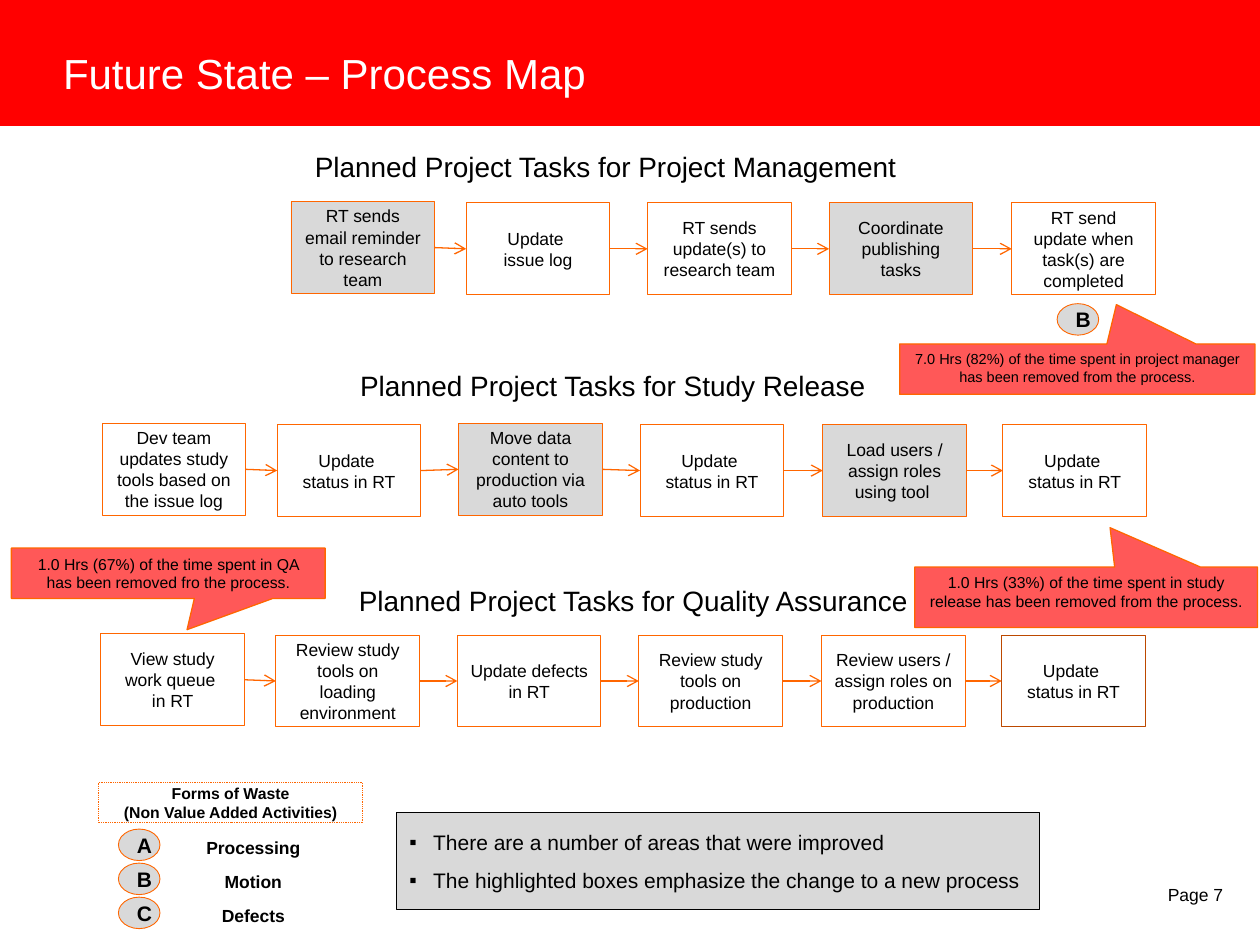
import dataclasses

import lxml.etree
import pptx
import pptx.dml.color
import pptx.enum.dml
import pptx.enum.shapes
import pptx.enum.text
import pptx.oxml.ns
import pptx.util

Inches = pptx.util.Inches
Pt = pptx.util.Pt
qn = pptx.oxml.ns.qn
Shape = pptx.enum.shapes.MSO_SHAPE
Align = pptx.enum.text.PP_ALIGN
Anchor = pptx.enum.text.MSO_ANCHOR


@dataclasses.dataclass(frozen=True)
class Theme:
    """Colours, font and type sizes of the slide."""
    font: str = "Arial"
    ink: str = "000000"
    white: str = "FFFFFF"
    banner: str = "FF0000"
    accent: str = "FF6600"
    dark: str = "BC4900"
    gray: str = "D9D9D9"
    alert: str = "FF5858"
    title: float = 24
    head: float = 16
    large: float = 12
    body: float = 10
    small: float = 9
    tiny: float = 8.3
    thin: float = 0.5
    line: float = 0.75


class Deck:
    """Draws the elements of one slide in a given theme."""

    def __init__(self, theme, slide):
        """Keep the theme and the slide."""
        self.theme = theme
        self.slide = slide

    def color(self, code):
        """Turn a hex code into a colour."""
        return pptx.dml.color.RGBColor.from_string(code)

    def letter(self, shape, text, size, color=None, bold=False,
               align=Align.CENTER, anchor=Anchor.MIDDLE, wrap=True):
        """Fill a shape with formatted text."""
        frame = shape.text_frame
        frame.text = text
        frame.word_wrap = wrap
        frame.vertical_anchor = anchor
        for para in frame.paragraphs:
            para.alignment = align
            for run in para.runs:
                run.font.name = self.theme.font
                run.font.size = Pt(size)
                run.font.bold = bold
                run.font.color.rgb = self.color(color or self.theme.ink)

    def title(self, text, *area):
        """Place the title at the given area."""
        shape = self.slide.shapes.title
        shape.left, shape.top, shape.width, shape.height = map(Inches, area)
        self.letter(shape, text, self.theme.title, self.theme.white,
                    align=Align.LEFT, anchor=Anchor.BOTTOM)
        frame = shape.text_frame
        frame.margin_left = frame.margin_right = 0
        frame.margin_top = frame.margin_bottom = 0

    def banner(self, *area):
        """Draw the colour band behind the title."""
        shape = self.shape(Shape.RECTANGLE, area, self.theme.banner, None)
        self.slide.shapes.title.element.addprevious(shape.element)

    def label(self, text, area, size, **style):
        """Add a plain text box."""
        shape = self.slide.shapes.add_textbox(*map(Inches, area))
        self.letter(shape, text, size, **style)

    def shape(self, kind, area, fill, line, width=0.5):
        """Add a preset shape with fill and outline."""
        shape = self.slide.shapes.add_shape(kind, *map(Inches, area))
        shape.shadow.inherit = False
        if fill:
            shape.fill.solid()
            shape.fill.fore_color.rgb = self.color(fill)
        else:
            shape.fill.background()
        if line:
            shape.line.color.rgb = self.color(line)
            shape.line.width = Pt(width)
        else:
            shape.line.fill.background()
        return shape

    def step(self, text, left, top, fill, line):
        """Add one process box."""
        box = self.shape(Shape.RECTANGLE, (left, top, 1.14, 0.73), fill, line,
                         self.theme.thin)
        self.letter(box, text, self.theme.body)
        return box

    def arrow(self, start, end):
        """Join two boxes from right side to left side."""
        link = self.slide.shapes.add_connector(
            pptx.enum.shapes.MSO_CONNECTOR.STRAIGHT, 0, 0, 0, 0)
        link.begin_connect(start, 3)
        link.end_connect(end, 1)
        link.line.color.rgb = self.color(self.theme.accent)
        link.line.width = Pt(self.theme.line)
        props = link.element.spPr
        lxml.etree.SubElement(props.find(qn("a:ln")), qn("a:tailEnd"), type="arrow")
        lxml.etree.SubElement(props, qn("a:effectLst"))

    def flow(self, left, top, steps, gaps, high, marked, last):
        """Add a row of boxes joined by arrows."""
        boxes = []
        for i, text in enumerate(steps):
            fill = self.theme.gray if i in marked else None
            line = last if i == len(steps) - 1 else self.theme.accent
            drop = 0 if i in high else 0.01
            boxes.append(self.step(text, left + gaps[i], top + drop, fill, line))
        for start, end in zip(boxes, boxes[1:]):
            self.arrow(start, end)

    def badge(self, text, left, top):
        """Add a round letter mark."""
        dot = self.shape(Shape.OVAL, (left, top, 0.33, 0.25),
                         self.theme.gray, self.theme.accent, self.theme.thin)
        self.letter(dot, text, self.theme.large, bold=True)

    def legend(self, text, *area):
        """Add the dotted heading of the legend."""
        box = self.shape(Shape.RECTANGLE, area, None, self.theme.accent,
                         self.theme.thin)
        box.line.dash_style = pptx.enum.dml.MSO_LINE.ROUND_DOT
        self.letter(box, text, self.theme.small, bold=True)

    def callout(self, text, area, tip, size):
        """Add a callout whose tip is set by two ratios."""
        box = self.shape(Shape.RECTANGULAR_CALLOUT, area, self.theme.alert,
                         self.theme.accent, self.theme.line)
        box.adjustments[0], box.adjustments[1] = tip
        self.letter(box, text, size, anchor=Anchor.TOP)

    def notes(self, lines, *area):
        """Add the box of bulleted remarks."""
        box = self.shape(Shape.RECTANGLE, area, self.theme.gray,
                         self.theme.ink, self.theme.line)
        self.letter(box, "\n".join(lines), self.theme.large, align=Align.LEFT)
        for para in box.text_frame.paragraphs:
            props = para._p.get_or_add_pPr()
            props.set("marL", str(Inches(0.19)))
            props.set("indent", str(-Inches(0.19)))
            tint = lxml.etree.SubElement(props, qn("a:buClr"))
            lxml.etree.SubElement(tint, qn("a:srgbClr"), val=self.theme.ink)
            lxml.etree.SubElement(props, qn("a:buFont"), typeface=self.theme.font)
            lxml.etree.SubElement(props, qn("a:buChar"), char="▪")
            para.space_after = Pt(7.5)


def main():
    """Build the process map and save it."""
    theme = Theme()
    show = pptx.Presentation()
    show.slide_width, show.slide_height = Inches(10), Inches(7.5)
    deck = Deck(theme, show.slides.add_slide(show.slide_layouts[5]))
    deck.banner(0, 0, 10, 1)
    deck.title("Future State – Process Map", 0.5, 0.38, 8.3, 0.4)
    deck.label("Page 7", (9.17, 6.97, 0.83, 0.27), theme.body,
               align=Align.LEFT, anchor=Anchor.TOP)

    gaps = (0, 1.39, 2.83, 4.27, 5.72, 7.15)
    status = "Update \vstatus in RT"
    flows = (
        ("Project Management", (2.4, 1.14, 4.84), 2.31, 1.6,
         ("RT sends email reminder to research team", "Update \nissue log",
          "RT sends update(s) to research team", "Coordinate publishing tasks",
          "RT send update when task(s) are completed"), {0}, {0, 3}, theme.accent),
        ("Study Release", (2.76, 2.88, 4.24), 0.81, 3.36,
         ("Dev team updates study tools based on the issue log",
          "Update \nstatus in RT",
          "Move data content to production via auto tools", status,
          "Load users / assign roles using tool ", status),
         {0, 2}, {2, 4}, theme.accent),
        ("Quality Assurance", (2.75, 4.58, 4.6), 0.8, 5.03,
         ("View study work queue \vin RT",
          "Review study tools on loading environment", "Update defects in RT",
          "Review study tools on production",
          "Review users / assign roles on production", status),
         {0}, set(), theme.dark),
    )
    for name, area, left, top, steps, high, marked, last in flows:
        deck.label(f"Planned Project Tasks for {name}", (*area, 0.37), theme.head,
                   align=Align.LEFT, anchor=Anchor.TOP, wrap=False)
        deck.flow(left, top, steps, gaps, high, marked, last)

    deck.legend("Forms of Waste\n(Non Value Added Activities)", 0.78, 6.21, 2.1, 0.32)
    for i, (mark, name) in enumerate((("A", "Processing"), ("B", "Motion"), ("C", "Defects"))):
        top = 6.58 + 0.27 * i
        deck.badge(mark, 0.94, top)
        deck.label(name, (1.44, top + 0.03, 1.14, 0.23), theme.body, bold=True)
    deck.notes(("There are a number of areas that were improved",
                "The highlighted boxes emphasize the change to a new process"),
               3.15, 6.45, 5.1, 0.77)
    deck.badge("B", 8.39, 2.41)

    deck.callout("7.0 Hrs (82%) of the time spent in project manager has been "
                 "removed from the process.",
                 (7.14, 2.73, 2.82, 0.4), (0.11, -1.28), theme.tiny)
    deck.callout("1.0 Hrs (33%) of the time spent in study release has been "
                 "removed from the process.",
                 (7.26, 4.5, 2.72, 0.48), (0.07, -1.15), theme.small)
    deck.callout("1.0 Hrs (67%) of the time spent in QA has been removed fro "
                 "the process.",
                 (0.09, 4.35, 2.49, 0.4), (0.06, 1.12), theme.small)
    show.save("out.pptx")


if __name__ == "__main__":
    main()
